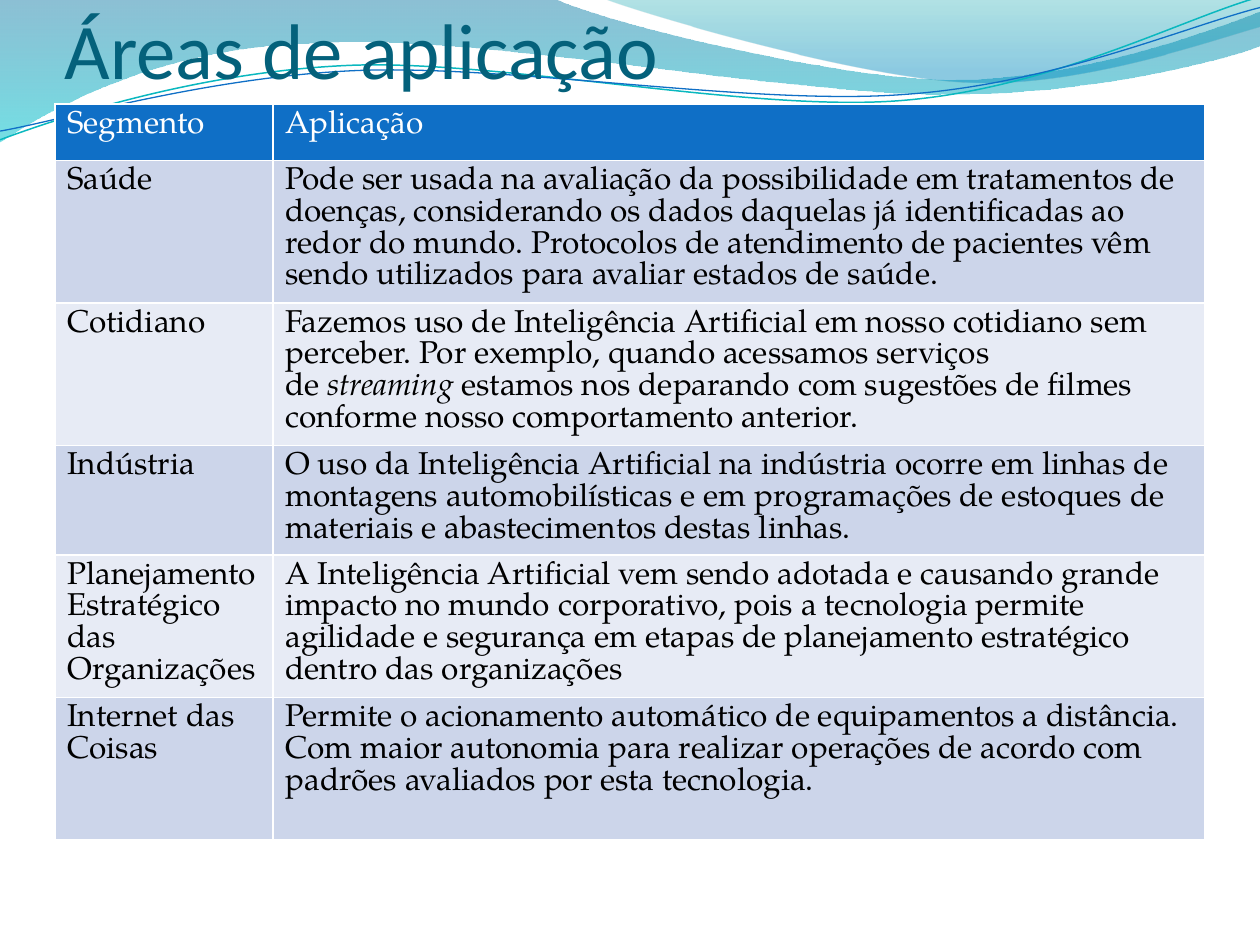
from lxml.etree import SubElement
from pptx import Presentation
from pptx.dml.color import RGBColor
from pptx.enum.text import MSO_ANCHOR
from pptx.oxml.ns import qn
from pptx.util import Pt

TABLE_FONT = "TeX Gyre Pagella"
HEADER_FILL = "0F6FC6"
BAND_FILLS = ("CCD5EA", "E7EBF5")
NBSP = chr(160)

# Outlines in points: a pair is a straight step, six numbers are a Bézier curve.
LOWER_WAVE = [
    (0, 0), (316.8, -0.7),
    (342.7, 12.2, 478.1, 45.4, 545.8, 45.4),
    (614.2, 45.4, 689.8, 18.7, 720, 6.5),
    (720.7, 25.9),
    (707.8, 31.7, 626.4, 54.7, 537.1, 54),
    (447.8, 54, 275, 20.2, 185, 24.5),
    (92.9, 25.9, 33.1, 59.8, -0.7, 81.4),
    (0, 0),
]
UPPER_WAVE = [
    (344.9, -0.7),
    (366.5, 7.9, 491, 44.6, 553.7, 46.8),
    (616.3, 49.7, 691.9, 23, 720, 15.1),
    (720, 0), (344.9, -0.7),
]
TEAL_STRAND = [
    (0, 79.9),
    (34.6, 67, 113.8, 41, 199.4, 37.4),
    (284.4, 33.8, 427, 64.1, 513.4, 57.6),
    (599.8, 51.1, 675.4, 10.8, 718.6, -1.4),
]
BLUE_STRAND = [
    (0, 74.9),
    (33.8, 69.1, 118.1, 43.9, 203.8, 40.3),
    (290.2, 36.7, 429.8, 60.5, 516.2, 54),
    (601.9, 48.2, 677.5, 15.1, 720, 4.3),
]

# Each cell is a list of (text, italic) runs or a plain string.
HEADINGS = ("Segmento", "Aplicação")
AREAS = [
    ("Saúde",
     "Pode ser usada na avaliação da possibilidade em tratamentos de doenças, "
     "considerando os dados daquelas já identificadas ao redor do mundo. "
     "Protocolos de atendimento de pacientes vêm sendo utilizados para avaliar "
     "estados de saúde."),
    ("Cotidiano",
     [("Fazemos uso de Inteligência Artificial em nosso cotidiano sem perceber. "
       "Por exemplo, quando acessamos serviços de" + NBSP, False),
      ("streaming" + NBSP, True),
      ("estamos nos deparando com sugestões de filmes conforme nosso "
       "comportamento anterior.", False)]),
    ("Indústria",
     "O uso da Inteligência Artificial na indústria ocorre em linhas de montagens "
     "automobilísticas e em programações de estoques de materiais e "
     "abastecimentos destas linhas."),
    ("Planejamento Estratégico das Organizações",
     "A Inteligência Artificial vem sendo adotada e causando grande impacto no "
     "mundo corporativo, pois a tecnologia permite agilidade e segurança em "
     "etapas de planejamento estratégico dentro das organizações"),
    ("Internet das Coisas",
     "Permite o acionamento automático de equipamentos a distância. Com maior "
     "autonomia para realizar operações de acordo com padrões avaliados por "
     "esta tecnologia."),
]
SEGMENT_WIDTH = 124.6
ROW_HEIGHTS = (32.4, 81.4, 81.4, 62.6, 81.4, 81.4)


def rgb(color):
    return RGBColor.from_string(color)


def write(frame, content, *, font, size, color, leading=None):
    runs = [(content, False)] if isinstance(content, str) else content
    paragraph = frame.paragraphs[0]
    if leading:
        paragraph.line_spacing = Pt(leading)
    for text, italic in runs:
        run = paragraph.add_run()
        run.text = text
        run.font.name = font
        run.font.size = Pt(size)
        run.font.bold = False
        run.font.italic = italic
        run.font.color.rgb = rgb(color)


def add_outline(slide, left, top, outline):
    """Draw all points as straight steps, then merge each curve's three into one."""
    points = [(Pt(left + x), Pt(top + y))
              for step in outline for x, y in zip(step[::2], step[1::2])]
    builder = slide.shapes.build_freeform(*points[0])
    builder.add_line_segments(points[1:], close=False)
    shape = builder.convert_to_shape()
    shape.shadow.inherit = False
    straight = shape.element.spPr.iter(qn("a:lnTo"))
    steps = list(straight)
    for step in outline[1:]:
        first = steps.pop(0)
        if len(step) == 6:
            first.tag = qn("a:cubicBezTo")
            for _ in range(2):
                extra = steps.pop(0)
                first.append(extra[0])
                extra.getparent().remove(extra)
    return shape


def add_wave(slide, left, top, outline, stops):
    """Stops are (position, colour, opacity in percent), from top to bottom."""
    wave = add_outline(slide, left, top, outline)
    wave.line.fill.background()
    wave.fill.gradient()
    wave.fill.gradient_angle = 270
    for stop, (position, color, _) in zip(wave.fill.gradient_stops, stops):
        stop.position = position
        stop.color.rgb = rgb(color)
    for node, (_, _, opacity) in zip(wave.element.spPr.iter(qn("a:srgbClr")), stops):
        SubElement(node, qn("a:alpha"), val=str(opacity * 1000))


def add_strand(slide, left, top, outline, color, width):
    strand = add_outline(slide, left, top, outline)
    strand.fill.background()
    strand.line.color.rgb = rgb(color)
    strand.line.width = Pt(width)


def add_wave_band(slide, left, top):
    add_wave(slide, left, top, LOWER_WAVE, [(0, "0074A1", 45), (1, "00C6CF", 55)])
    add_wave(slide, left, top, UPPER_WAVE, [(0, "00A1A9", 30), (0.8, "008BBF", 45)])
    add_strand(slide, left, top, TEAL_STRAND, "0AB8BF", 0.85)
    add_strand(slide, left, top, BLUE_STRAND, "0F6FC6", 0.75)


def add_title(slide, left, top, width, height):
    title = slide.shapes.add_textbox(Pt(left), Pt(top), Pt(width), Pt(height))
    frame = title.text_frame
    frame.word_wrap = True
    frame.vertical_anchor = MSO_ANCHOR.BOTTOM
    frame.margin_left = frame.margin_right = frame.margin_bottom = 0
    frame.margin_top = Pt(3.6)
    write(frame, "Áreas de aplicação", font="Calibri", size=45, color="04617B")


def set_borders(cell):
    properties = cell._tc.get_or_add_tcPr()
    for side in "LRTB":
        border = SubElement(properties, qn(f"a:ln{side}"), w=str(Pt(1)))
        fill = SubElement(border, qn("a:solidFill"))
        SubElement(fill, qn("a:srgbClr"), val="FFFFFF")


def add_areas_table(slide, left, top, width):
    rows = [HEADINGS, *AREAS]
    table = slide.shapes.add_table(len(rows), len(HEADINGS), Pt(left), Pt(top),
                                   Pt(width), Pt(sum(ROW_HEIGHTS))).table
    table.columns[0].width = Pt(SEGMENT_WIDTH)
    table.columns[1].width = Pt(width - SEGMENT_WIDTH)
    for r, (row, height) in enumerate(zip(rows, ROW_HEIGHTS)):
        table.rows[r].height = Pt(height)
        is_header = r == 0
        for c, content in enumerate(row):
            cell = table.cell(r, c)
            set_borders(cell)
            cell.fill.solid()
            cell.fill.fore_color.rgb = rgb(HEADER_FILL if is_header else BAND_FILLS[(r - 1) % 2])
            write(cell.text_frame, content, font=TABLE_FONT, size=18, leading=18.1,
                  color="FFFFFF" if is_header else "000000")


def main():
    deck = Presentation()
    deck.slide_width, deck.slide_height = Pt(720), Pt(540)
    slide = deck.slides.add_slide(deck.slide_layouts[6])
    add_wave_band(slide, 0, 0)
    add_title(slide, 36.9, 2.9, 648, 51.8)
    add_areas_table(slide, 31.3, 59.4, 657.4)
    deck.save("out.pptx")


if __name__ == "__main__":
    main()
